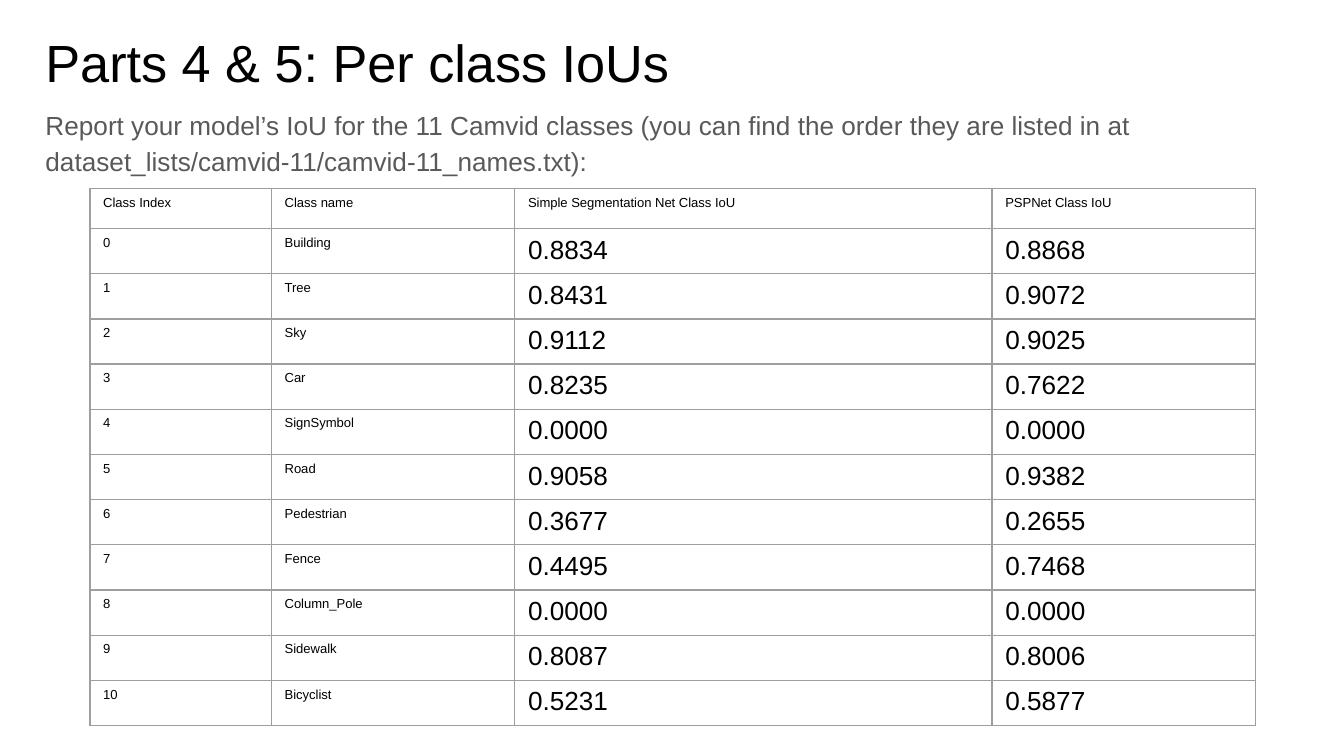
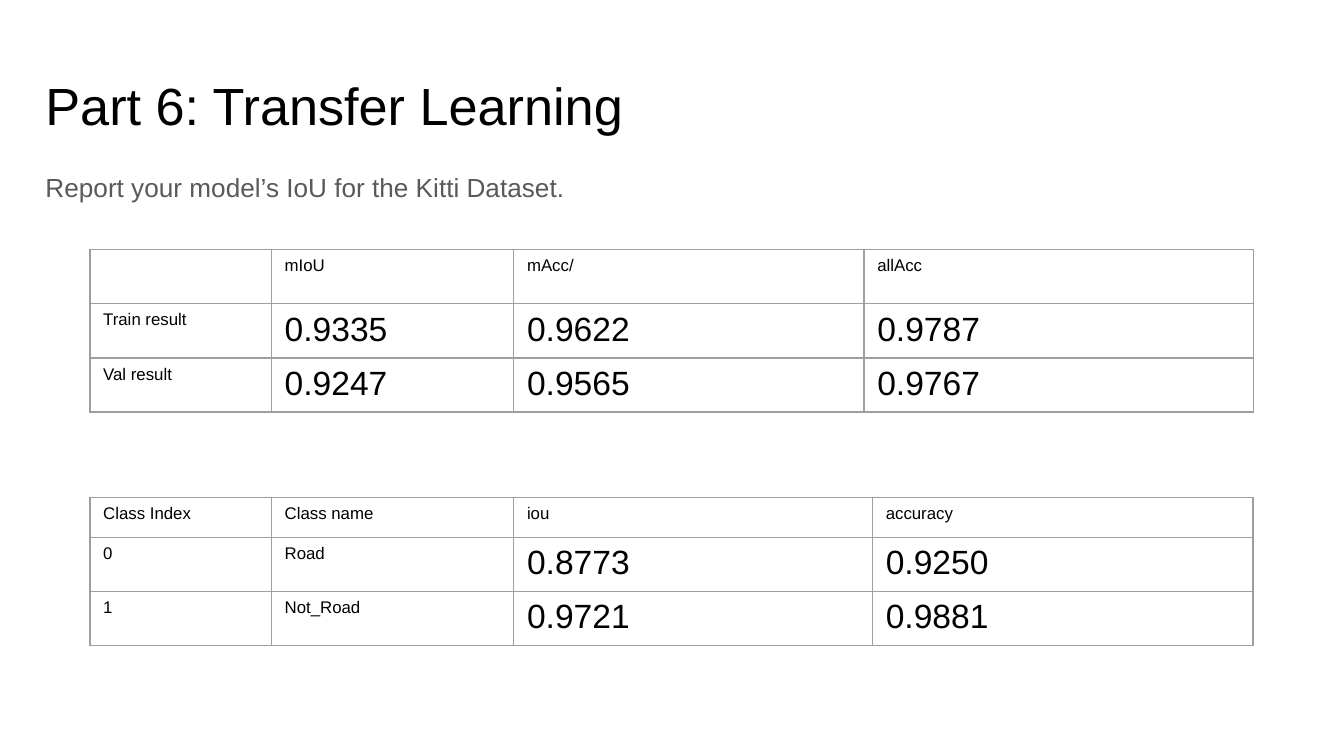
from lxml.etree import SubElement as add_element
from pptx import Presentation
from pptx.dml.color import RGBColor
from pptx.enum.text import MSO_ANCHOR as Anchor
from pptx.oxml.ns import qn
from pptx.util import Cm, Pt

FONT = "Arial"
BLACK = "000000"
GREY = "595959"
BORDER = "9E9E9E"
TEXT_LEFT, TEXT_WIDTH = 0.86, 23.67
TABLE_LEFT = 1.7
ROW_HEIGHT = 0.76
INDEX_WIDTH = 3.43

CLASS_IOUS = [
    ("Class Index", "Class name", "Simple Segmentation Net Class IoU", "PSPNet Class IoU"),
    ("0", "Building", "0.8834", "0.8868"),
    ("1", "Tree", "0.8431", "0.9072"),
    ("2", "Sky", "0.9112", "0.9025"),
    ("3", "Car", "0.8235", "0.7622"),
    ("4", "SignSymbol", "0.0000", "0.0000"),
    ("5", "Road", "0.9058", "0.9382"),
    ("6", "Pedestrian", "0.3677", "0.2655"),
    ("7", "Fence", "0.4495", "0.7468"),
    ("8", "Column_Pole", "0.0000", "0.0000"),
    ("9", "Sidewalk", "0.8087", "0.8006"),
    ("10", "Bicyclist", "0.5231", "0.5877"),
]
KITTI_CLASSES = [
    ("Class Index", "Class name", "iou", "accuracy"),
    ("0", "Road", "0.8773", "0.9250"),
    ("1", "Not_Road", "0.9721", "0.9881"),
]
KITTI_RESULTS = [
    ("", "mIoU", "mAcc/", "allAcc"),
    ("Train result", "0.9335", "0.9622", "0.9787"),
    ("Val result", "0.9247", "0.9565", "0.9767"),
]


def rgb(value):
    return RGBColor.from_string(value)


def write(para, text, size, color=BLACK, spacing=None):
    if spacing:
        para.line_spacing = spacing
    span = para.add_run()
    span.text = text
    span.font.name = FONT
    span.font.size = Pt(size)
    span.font.color.rgb = rgb(color)


def draw_borders(cell):
    properties = cell._tc.get_or_add_tcPr()
    for side in ("lnL", "lnR", "lnT", "lnB"):
        line = add_element(properties, qn(f"a:{side}"), w=str(Pt(0.75)))
        fill = add_element(line, qn("a:solidFill"))
        add_element(fill, qn("a:srgbClr"), val=BORDER)


class Report:
    def __init__(self):
        self.deck = Presentation()
        self.deck.slide_width = Cm(25.4)
        self.deck.slide_height = Cm(14.29)
        self.page = None

    def add_page(self):
        self.page = self.deck.slides.add_slide(self.deck.slide_layouts[6])

    def add_text(self, text, top, height, **style):
        box = self.page.shapes.add_textbox(
            Cm(TEXT_LEFT), Cm(top), Cm(TEXT_WIDTH), Cm(height))
        frame = box.text_frame
        frame.word_wrap = True
        frame.vertical_anchor = Anchor.TOP
        frame.margin_left = frame.margin_right = 0
        frame.margin_top = frame.margin_bottom = Cm(0.25)
        write(frame.paragraphs[0], text, **style)

    def add_title(self, text, top):
        self.add_text(text, top, 1.6, size=28)

    def add_prompt(self, text, top):
        self.add_text(text, top, 1.83, size=14, color=GREY, spacing=1.15)

    def add_table(self, rows, top, widths, label_size, value_size):
        table = self.page.shapes.add_table(
            len(rows), len(widths), Cm(TABLE_LEFT), Cm(top),
            Cm(sum(widths)), Cm(ROW_HEIGHT * len(rows))).table
        table.first_row = table.horz_banding = False
        for column, width in zip(table.columns, widths):
            column.width = Cm(width)
        for row in table.rows:
            row.height = Cm(ROW_HEIGHT)
        for cell, text in zip(table.iter_cells(), (text for row in rows for text in row)):
            cell.margin_left = cell.margin_right = Cm(0.25)
            cell.margin_top = cell.margin_bottom = Cm(0.13)
            draw_borders(cell)
            cell.fill.background()
            if text:
                size = value_size if "." in text else label_size
                write(cell.text_frame.paragraphs[0], text, size)


def main():
    report = Report()

    report.add_page()
    report.add_title("Parts 4 & 5: Per class IoUs", 0.33)
    report.add_prompt(
        "Report your model’s IoU for the 11 Camvid classes (you can find the order "
        "they are listed in at dataset_lists/camvid-11/camvid-11_names.txt):", 1.73)
    report.add_table(CLASS_IOUS, 3.56, (INDEX_WIDTH, 4.6, 9.02, 4.98), 7, 14)

    report.add_page()
    report.add_title("Part 6: Transfer Learning", 1.14)
    report.add_prompt("Report your model’s IoU for the Kitti Dataset.", 2.9)
    report.add_table(KITTI_CLASSES, 9.4, (INDEX_WIDTH, 4.58, 6.78, 7.19), 9, 18)
    report.add_table(KITTI_RESULTS, 4.72, (INDEX_WIDTH, 4.58, 6.62, 7.36), 9, 18)

    report.deck.save("out.pptx")


if __name__ == "__main__":
    main()
